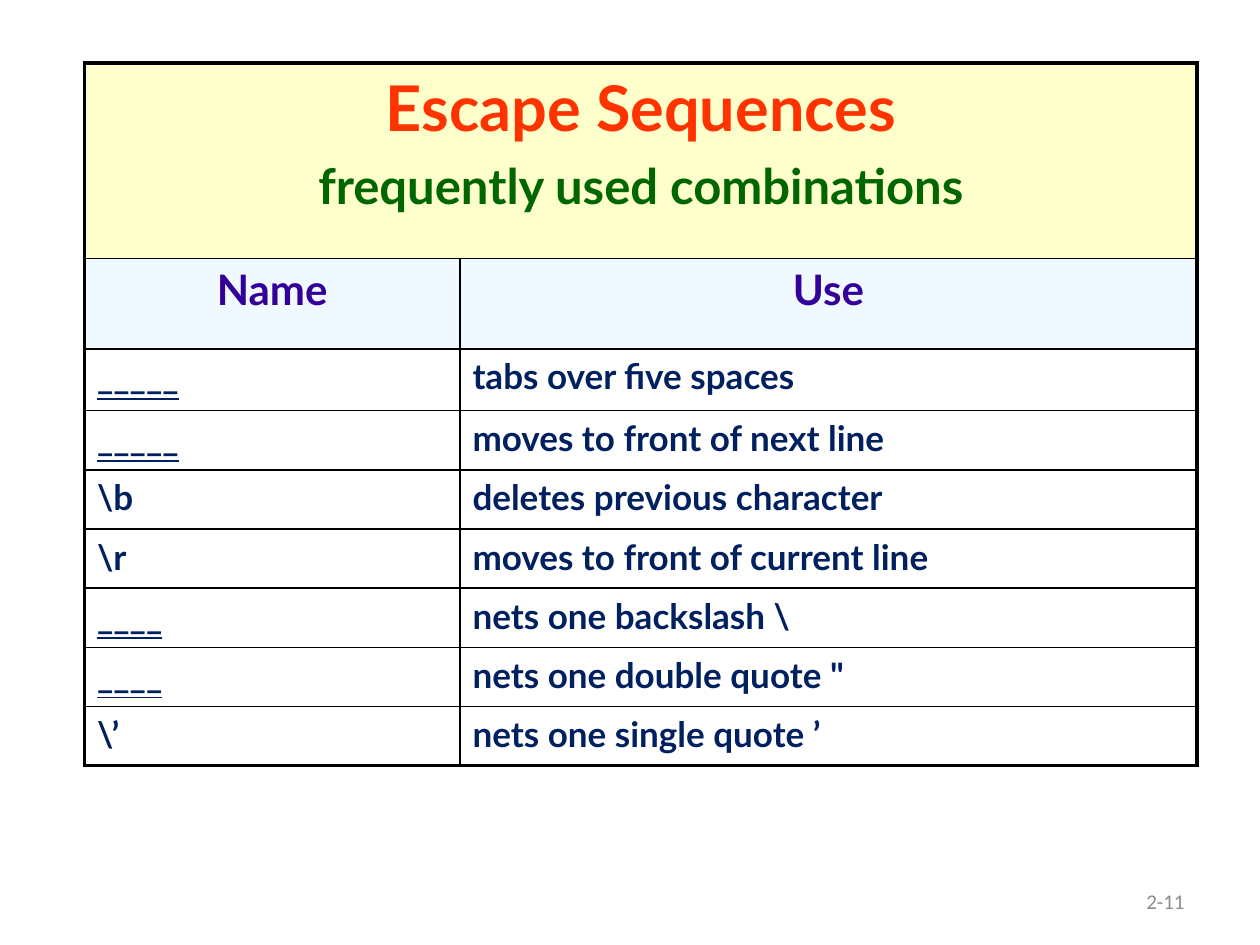
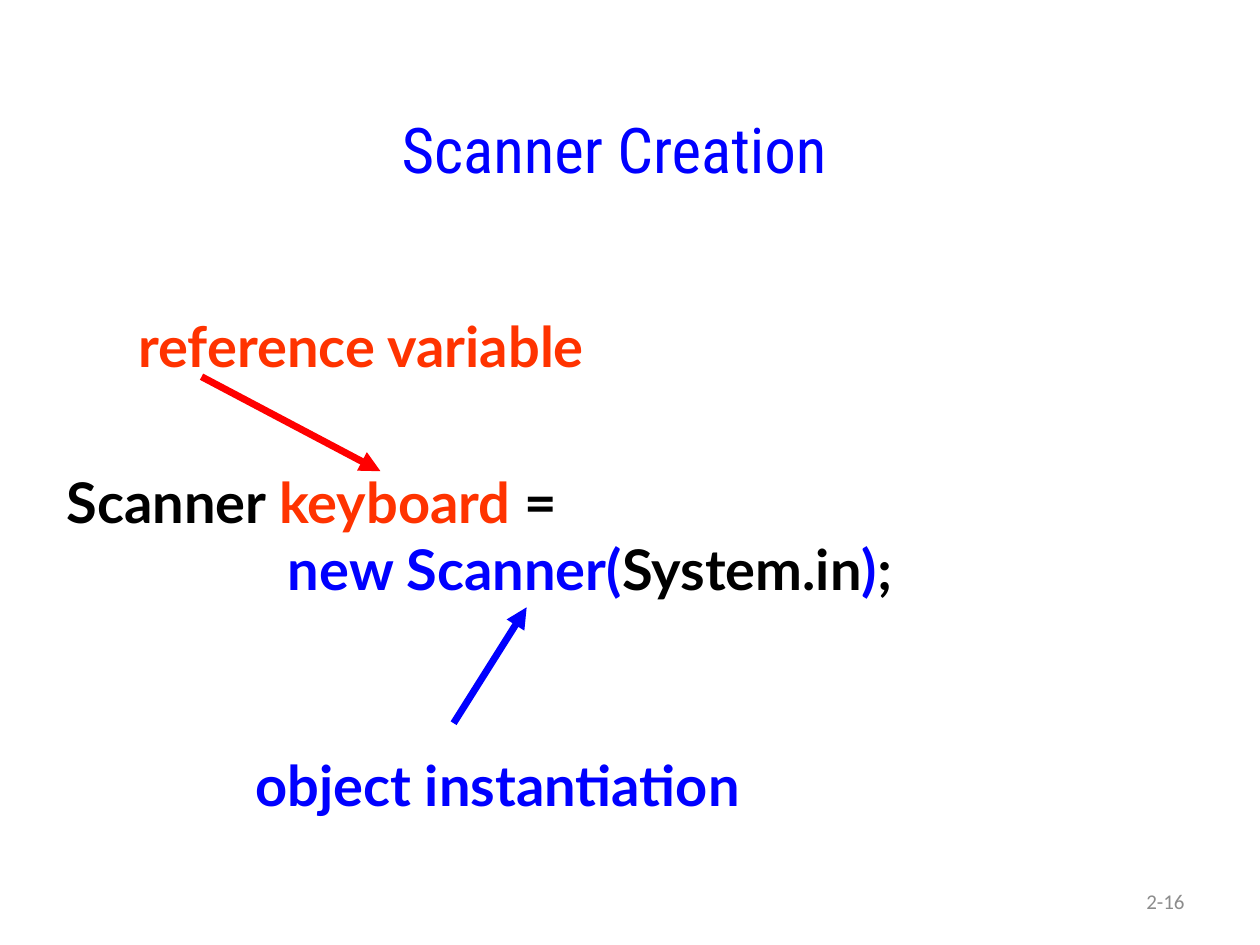
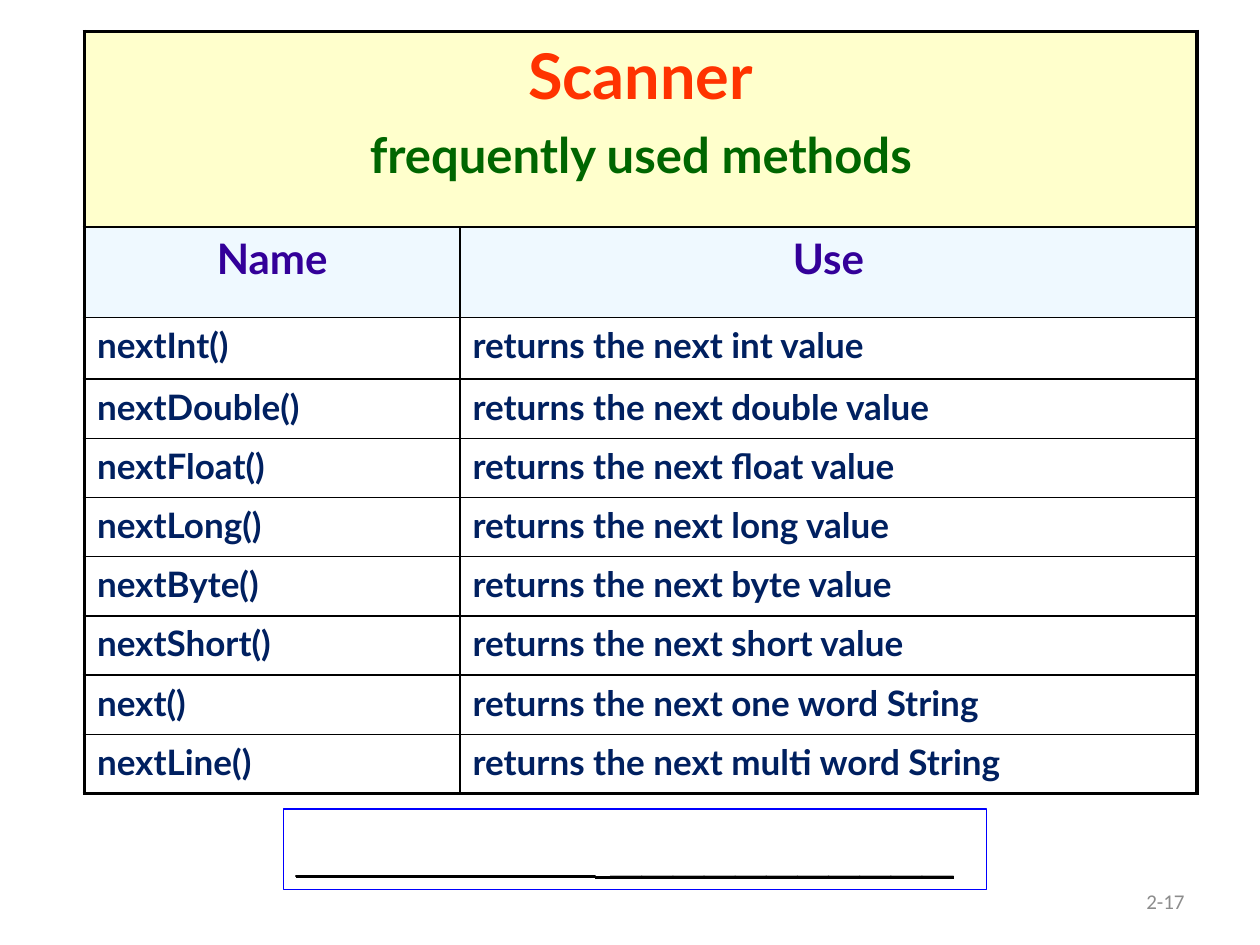
from collections import namedtuple

from lxml import etree
from pptx import Presentation
from pptx.dml.color import RGBColor
from pptx.enum import shapes, text
from pptx.oxml import ns
from pptx.util import Inches, Pt

Box = namedtuple("Box", "left top width height")
Span = namedtuple("Span", "words size color font bold underline",
                  defaults=("Lato", True, False))

COLORS = {
    "red_text": "FF3300", "red_line": "FF0000", "green": "006600",
    "violet": "330099", "navy": "002060", "blue": "0000FF",
    "black": "000000", "gray": "8C8C8C", "white": "FFFFFF",
    "banner": "FFFFCC", "header": "E1F4FF",
}
ALIGN = text.PP_ALIGN
ANCHOR = text.MSO_ANCHOR
TITLE_LAYOUT, BLANK_LAYOUT = 5, 6
NUMBER_BOX = Box(7.17, 6.95, 2.33, 0.4)
COLUMNS = [2.98, 5.85]
ROW_HEIGHTS = [1.55, 0.72, 0.49]
BODY_HEIGHT = 0.47
THICK, THIN = 2.25, 1

ESCAPES = [
    ("_____", "tabs over five spaces"),
    ("_____", "moves to front of next line"),
    ("\\b", "deletes previous character"),
    ("\\r", "moves to front of current line"),
    ("____", "nets one backslash \\"),
    ("____", 'nets one double quote "'),
    ("\\’", "nets one single quote ’"),
]
METHODS = [
    ("nextInt()", "returns the next int value"),
    ("nextDouble()", "returns the next double value"),
    ("nextFloat()", "returns the next float value"),
    ("nextLong()", "returns the next long value"),
    ("nextByte()", "returns the next byte value"),
    ("nextShort()", "returns the next short value"),
    ("next()", "returns the next one word String"),
    ("nextLine()", "returns the next multi word String"),
]


def color(name):
    return RGBColor.from_string(COLORS[name])


def inches(box):
    return [Inches(length) for length in box]


def write(frame, lines, align=ALIGN.LEFT, anchor=ANCHOR.TOP, gap=0):
    frame.word_wrap = True
    frame.vertical_anchor = anchor
    for index, spans in enumerate(lines):
        para = frame.add_paragraph() if index else frame.paragraphs[0]
        para.alignment = align
        para.space_before = Pt(gap if index else 0)
        for span in spans:
            run = para.add_run()
            run.text = span.words
            run.font.name = span.font
            run.font.size = Pt(span.size)
            run.font.bold = span.bold
            run.font.underline = span.underline
            run.font.color.rgb = color(span.color)


def add_text(page, box, lines, **options):
    label = page.shapes.add_textbox(*inches(box))
    write(label.text_frame, lines, **options)


def add_panel(page, box, lines, fill=None, line=None):
    panel = page.shapes.add_shape(shapes.MSO_SHAPE.RECTANGLE, *inches(box))
    panel.shadow.inherit = False
    if fill:
        panel.fill.solid()
        panel.fill.fore_color.rgb = color(fill)
    else:
        panel.fill.background()
    if line:
        panel.line.color.rgb = color(line)
        panel.line.width = Pt(THIN)
    else:
        panel.line.fill.background()
    write(panel.text_frame, lines)


def add_arrow(page, start, end, line):
    arrow = page.shapes.add_connector(
        shapes.MSO_CONNECTOR.STRAIGHT, *inches(start + end))
    arrow.line.color.rgb = color(line)
    arrow.line.width = Pt(4)
    outline = arrow.line._get_or_add_ln()
    etree.SubElement(outline, ns.qn("a:tailEnd"), type="triangle")
    etree.SubElement(arrow._element.spPr, ns.qn("a:effectLst"))


def add_page(deck, layout, number):
    page = deck.slides.add_slide(deck.slide_layouts[layout])
    add_text(page, NUMBER_BOX, [[Span(number, 12, "gray", "Calibri", False)]],
             align=ALIGN.RIGHT, anchor=ANCHOR.MIDDLE)
    return page


def fill_cell(cell, fill, alpha=None):
    if not fill:
        cell.fill.background()
        return
    cell.fill.solid()
    cell.fill.fore_color.rgb = color(fill)
    if alpha:
        tint = cell._tc.tcPr.find(".//" + ns.qn("a:srgbClr"))
        etree.SubElement(tint, ns.qn("a:alpha"), val=str(alpha * 1000))


def border_cell(cell, widths):
    properties = cell._tc.get_or_add_tcPr()
    for index, (side, width) in enumerate(zip("LRTB", widths)):
        edge = etree.Element(ns.qn(f"a:ln{side}"), w=str(Pt(width)))
        paint = etree.SubElement(edge, ns.qn("a:solidFill"))
        etree.SubElement(paint, ns.qn("a:srgbClr"), val=COLORS["black"])
        properties.insert(index, edge)


def add_reference_table(page, left, top, heading, subheading, entries):
    heights = ROW_HEIGHTS + [BODY_HEIGHT] * (len(entries) - 1)
    box = Box(left, top, sum(COLUMNS), sum(heights))
    table = page.shapes.add_table(
        len(heights), len(COLUMNS), *inches(box)).table
    table.first_row = table.horz_banding = False
    for column, width in zip(table.columns, COLUMNS):
        column.width = Inches(width)
    for row, height in zip(table.rows, heights):
        row.height = Inches(height)

    banner = table.cell(0, 0)
    banner.merge(table.cell(0, 1))
    write(banner.text_frame,
          [[Span(heading, 36, "red_text")], [Span(subheading, 28, "green")]],
          align=ALIGN.CENTER, gap=6.5)
    for index, label in enumerate(("Name", "Use")):
        write(table.cell(1, index).text_frame, [[Span(label, 24, "violet")]],
              align=ALIGN.CENTER)
    for row, entry in enumerate(entries, 2):
        for index, words in enumerate(entry):
            blank = set(words) == {"_"}
            span = Span(words, 20, "navy", underline=blank)
            write(table.cell(row, index).text_frame, [[span]])

    last_row, last_column = len(heights) - 1, len(COLUMNS) - 1
    fills = {0: ("banner",), 1: ("header", 50)}
    for row in range(len(heights)):
        for column in range(len(COLUMNS)):
            cell = table.cell(row, column)
            fill_cell(cell, *fills.get(row, (None,)))
            outer = (column == 0 or row == 0 and cell.is_merge_origin,
                     column == last_column or cell.is_merge_origin,
                     row == 0, row == last_row)
            border_cell(cell, [THICK if edge else THIN for edge in outer])


def add_title(page, box, words):
    title = page.shapes.title
    title.left, title.top, title.width, title.height = inches(box)
    title.text_frame.auto_size = text.MSO_AUTO_SIZE.NONE
    write(title.text_frame,
          [[Span(words, 36, "blue", "Roboto Condensed", False)]],
          align=ALIGN.CENTER)


def add_creation_diagram(page, box):
    def place(left, top, width, height):
        return Box(box.left + left, box.top + top, width, height)

    def point(left, top):
        return box.left + left, box.top + top

    add_panel(page, place(0, 1.24, 9.25, 2.23), [
        [Span("Scanner ", 32, "black"), Span("keyboard", 32, "red_text"),
         Span(" =", 32, "black")],
        [Span("\t\t       ", 32, "black"), Span("new Scanner(", 32, "blue"),
         Span("System.in", 32, "black"), Span(")", 32, "blue"),
         Span(";", 32, "black")],
    ], fill="white")
    add_arrow(page, point(1.17, 0.57), point(2.59, 1.32), "red_line")
    add_text(page, place(0.57, 0, 4.26, 0.63),
             [[Span("reference variable", 32, "red_text")]])
    add_arrow(page, point(3.17, 3.32), point(3.75, 2.4), "blue")
    add_text(page, place(1.5, 3.49, 4.57, 0.63),
             [[Span("object instantiation", 32, "blue")]])


def main():
    deck = Presentation()
    deck.slide_width, deck.slide_height = Inches(10), Inches(7.5)

    page = add_page(deck, BLANK_LAYOUT, "2-11")
    add_reference_table(page, 0.67, 0.5, "Escape Sequences",
                        "frequently used combinations", ESCAPES)

    page = add_page(deck, TITLE_LAYOUT, "2-16")
    add_title(page, Box(0.75, 0.83, 8.25, 0.83), "Scanner Creation")
    add_creation_diagram(page, Box(0.43, 2.42, 9.25, 4.12))

    page = add_page(deck, BLANK_LAYOUT, "2-17")
    add_reference_table(page, 0.67, 0.25, "Scanner",
                        "frequently used methods", METHODS)
    add_panel(page, Box(2.25, 6.42, 5.58, 0.64), [[
        Span("___________", 28, "black", "Arial", underline=True),
        Span(" ___________", 32, "black", "Arial", underline=True),
    ]], line="blue")

    deck.save("out.pptx")


if __name__ == "__main__":
    main()
